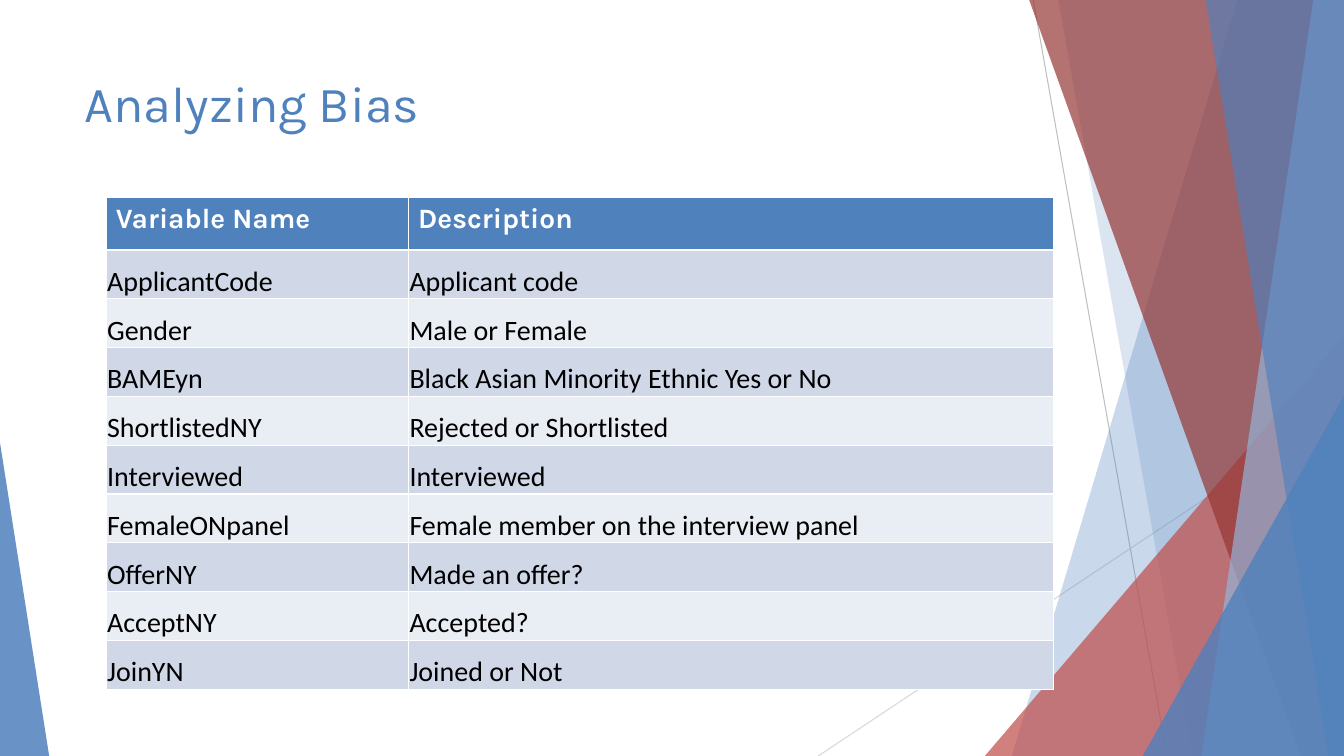
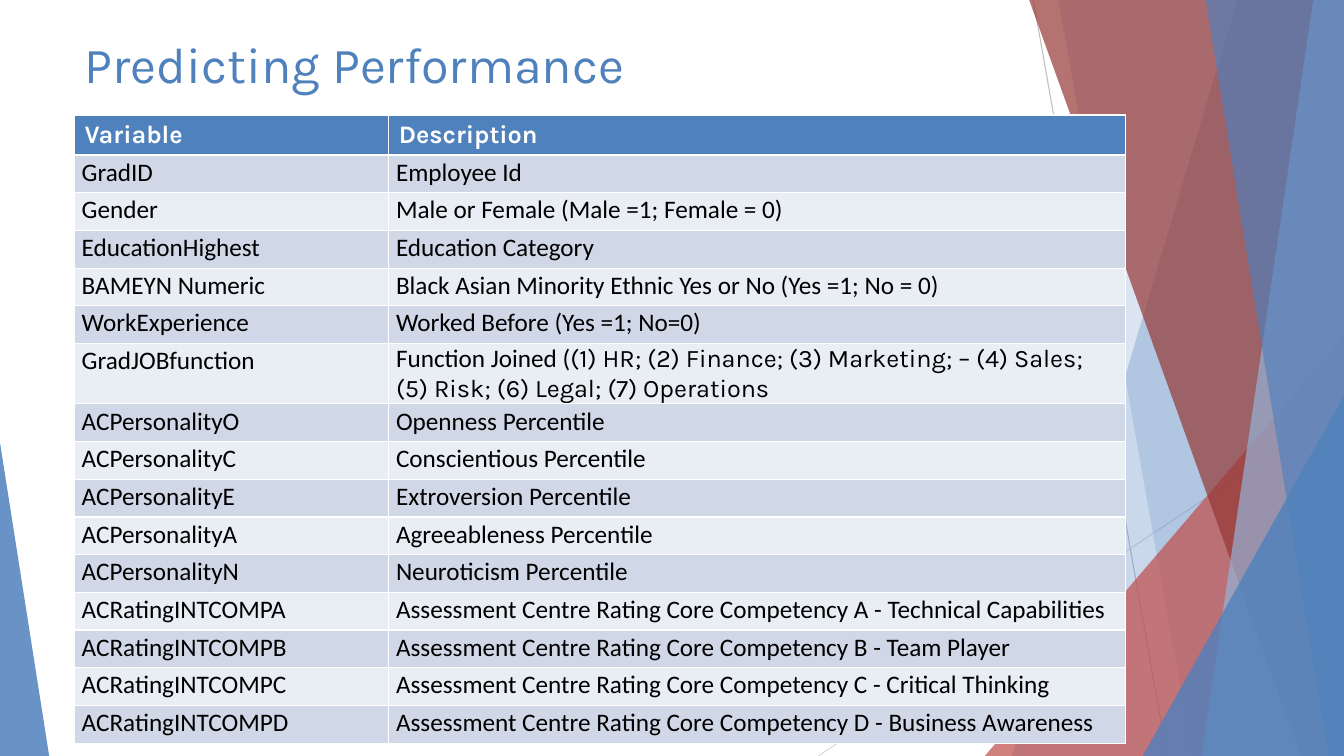
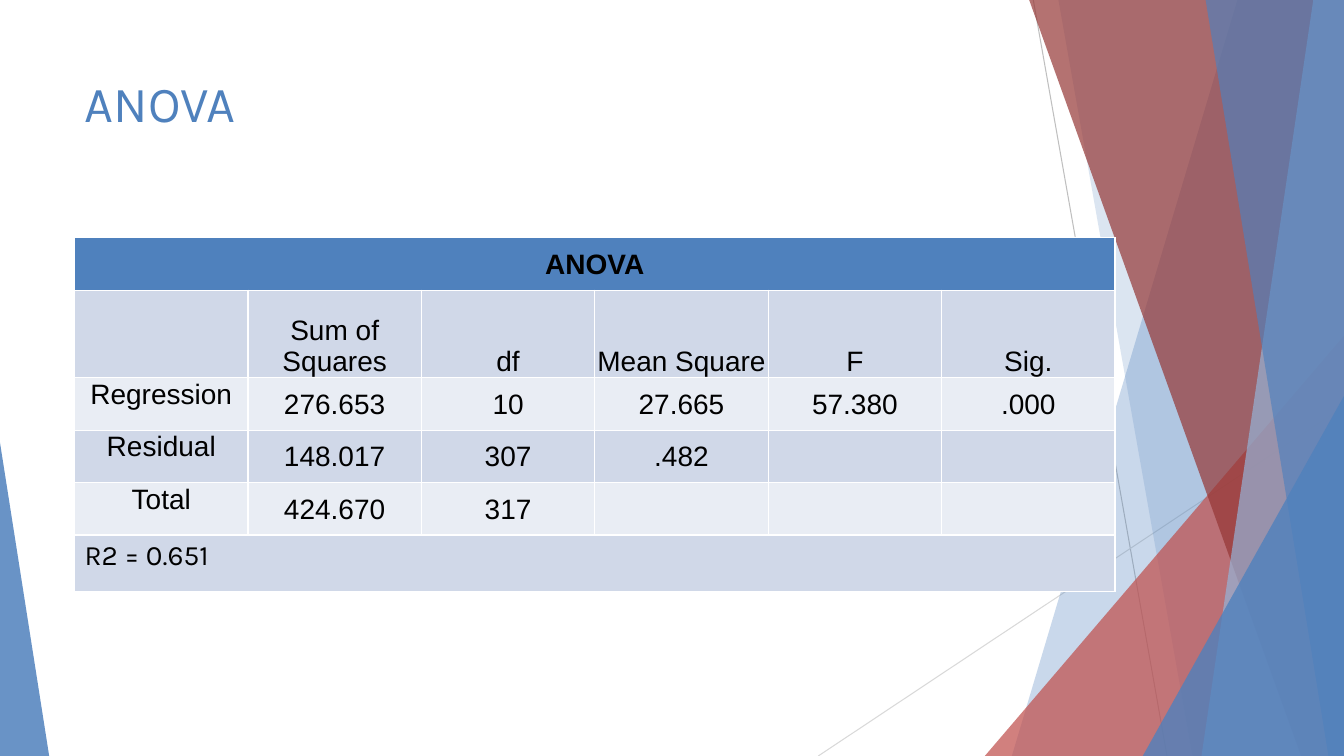
from dataclasses import dataclass, replace
from typing import Callable, NamedTuple

from lxml import etree
from pptx import Presentation
from pptx import util as u
from pptx.dml.color import RGBColor
from pptx.enum import shapes as es
from pptx.enum import text as et
from pptx.oxml import ns

BLUE = RGBColor(0x4F, 0x81, 0xBD)
SKY = RGBColor(0x95, 0xB3, 0xD7)
RED = RGBColor(0xC0, 0x50, 0x4D)
WINE = RGBColor(0x95, 0x37, 0x35)
GREY = RGBColor(0xBF, 0xBF, 0xBF)
PALE = RGBColor(0xD9, 0xD9, 0xD9)
BANDS = RGBColor(0xE9, 0xED, 0xF4), RGBColor(0xD0, 0xD8, 0xE8)
WHITE = RGBColor(0xFF, 0xFF, 0xFF)
BLACK = RGBColor(0, 0, 0)
WIDE, HIGH = 33.87, 19.05
TOP, MID, LOW = et.MSO_ANCHOR.TOP, et.MSO_ANCHOR.MIDDLE, et.MSO_ANCHOR.BOTTOM


class Ray(NamedTuple):
    x1: float
    y1: float
    x2: float
    y2: float
    color: RGBColor


class Pane(NamedTuple):
    """Runs from a slanted left side to the right edge of the slide."""
    top: float
    foot: float
    color: RGBColor
    alpha: int


class Wedge(NamedTuple):
    """A right triangle that stands on the bottom edge."""
    left: float
    top: float
    width: float
    peak: int
    color: RGBColor
    alpha: int


DECOR = [
    Ray(26.04, 0, 29.41, HIGH, GREY),
    Ray(WIDE, 10.24, 20.62, HIGH, PALE),
    Pane(31.19, 25.5, BLUE, 30),
    Pane(26.67, 30.05, BLUE, 20),
    Wedge(24.82, 8.46, 9.05, 1, RED, 72),
    Pane(25.93, 32.79, WINE, 70),
    Pane(33.1, 30.28, SKY, 70),
    Pane(30.38, 33.48, BLUE, 65),
    Wedge(28.8, 9.98, 5.07, 1, BLUE, 80),
    Wedge(0, 11.15, 1.24, 0, BLUE, 85),
]


@dataclass(frozen=True)
class Look:
    size: int
    font: str = "Calibri"
    color: RGBColor = BLACK
    bold: bool = False
    align: et.PP_ALIGN = et.PP_ALIGN.LEFT
    anchor: et.MSO_ANCHOR = TOP
    inset: tuple[float, ...] = (0.25, 0.13, 0.25, 0.13)
    space: float = 1.0


class Run(NamedTuple):
    text: str
    font: str


Cell = str | list[Run]


@dataclass
class Grid:
    left: float
    top: float
    cols: list[float]
    rows: list[float]
    cells: list[list[Cell]]  # a row with one cell spans the table
    look: Callable[[int, int], Look]


@dataclass
class Page:
    title: str
    top: float
    height: float
    grid: Grid


# Shared drawing
def tint(shape, color: RGBColor, alpha: int) -> None:
    shape.shadow.inherit = False
    shape.line.fill.background()
    shape.fill.solid()
    shape.fill.fore_color.rgb = color
    tone = shape.element.xpath(".//a:srgbClr")[0]
    etree.SubElement(tone, ns.qn("a:alpha")).set("val", str(alpha * 1000))


def draw(slide, item: Ray | Pane | Wedge):
    if isinstance(item, Ray):
        ends = [u.Cm(v) for v in item[:4]]
        shape = slide.shapes.add_connector(es.MSO_CONNECTOR.STRAIGHT, *ends)
        shape.line.color.rgb = item.color
        shape.line.width = u.Pt(0.75)
        props = shape.element.xpath("./p:spPr")[0]
        etree.SubElement(props, ns.qn("a:effectLst"))
        return shape
    if isinstance(item, Pane):
        pen = slide.shapes.build_freeform(u.Cm(item.top), u.Cm(-0.02))
        rest = [(WIDE, -0.02), (WIDE, HIGH), (item.foot, HIGH)]
        pen.add_line_segments([(u.Cm(x), u.Cm(y)) for x, y in rest])
        shape = pen.convert_to_shape()
    else:
        box = item.left, item.top, item.width, HIGH - item.top
        shape = slide.shapes.add_shape(
            es.MSO_SHAPE.ISOSCELES_TRIANGLE, *[u.Cm(v) for v in box])
        shape.adjustments[0] = item.peak
    tint(shape, item.color, item.alpha)
    return shape


def share(slide, layout) -> None:
    """Put the decoration behind the placeholders of the layout."""
    front = layout.placeholders[0].element
    for num, item in enumerate(DECOR, 100):
        part = draw(slide, item).element
        part.xpath(".//p:cNvPr")[0].set("id", str(num))
        front.addprevious(part)


def write(para, runs: list[Run], look: Look) -> None:
    para.alignment = look.align
    for text, face in runs:
        run = para.add_run()
        run.text = text
        font = run.font
        font.name, font.size, font.bold = face, u.Pt(look.size), look.bold
        font.color.rgb = look.color


def fill(cell, data: Cell, look: Look) -> None:
    cell.vertical_anchor = look.anchor
    (cell.margin_left, cell.margin_top, cell.margin_right,
     cell.margin_bottom) = [u.Cm(v) for v in look.inset]
    para = cell.text_frame.paragraphs[0]
    if isinstance(data, str):
        para.line_spacing = look.space
        data = [Run(data, look.font)]
    write(para, data, look)


def tabulate(slide, grid: Grid) -> None:
    box = grid.left, grid.top, sum(grid.cols), sum(grid.rows)
    table = slide.shapes.add_table(
        len(grid.rows), len(grid.cols), *[u.Cm(v) for v in box]).table
    for col, width in zip(table.columns, grid.cols):
        col.width = u.Cm(width)
    for r, (row, high, data) in enumerate(
            zip(table.rows, grid.rows, grid.cells)):
        row.height = u.Cm(high)
        for cell in row.cells:
            cell.fill.solid()
            cell.fill.fore_color.rgb = BANDS[r % 2] if r else BLUE
        if len(data) == 1:
            table.cell(r, 0).merge(table.cell(r, len(grid.cols) - 1))
        for c, item in enumerate(data):
            if item:
                fill(table.cell(r, c), item, grid.look(r, c))


def add_page(deck, layout, page: Page):
    slide = deck.slides.add_slide(layout)
    title = slide.shapes.title
    title.left, title.top = u.Cm(1.88), u.Cm(page.top)
    title.width, title.height = u.Cm(23.88), u.Cm(page.height)
    frame = title.text_frame
    frame.vertical_anchor = TOP
    write(frame.paragraphs[0], [Run(page.title, "Karla")], HEAD)
    tabulate(slide, page.grid)
    return slide


# Text looks
HEAD = Look(36, "Karla", BLUE)
TIGHT = (0.03, 0.03, 0.03, 0)
BIAS_TOP = Look(20, "Karla", WHITE, bold=True)
BIAS = Look(20, anchor=LOW, inset=TIGHT)
PERF_TOP = replace(BIAS_TOP, size=18)
PERF = Look(18, inset=(0.18, 0, 0.18, 0), space=1.07)
STAT = Look(20, "Arial", align=et.PP_ALIGN.CENTER, anchor=MID, inset=TIGHT)
NOTE = Look(20, "Karla")


def stat_look(row: int, col: int) -> Look:
    if row == 0:
        return replace(STAT, bold=True)
    if row == 1:
        return replace(STAT, anchor=LOW)
    if row == 5:
        return NOTE
    return replace(STAT, anchor=TOP) if col == 0 else STAT


# Slide contents
bias = [
    ["Variable Name", "Description"],
    ["ApplicantCode", "Applicant code"],
    ["Gender", "Male or Female"],
    ["BAMEyn", "Black Asian Minority Ethnic Yes or No"],
    ["ShortlistedNY", "Rejected or Shortlisted"],
    ["Interviewed", "Interviewed"],
    ["FemaleONpanel", "Female member on the interview panel"],
    ["OfferNY", "Made an offer?"],
    ["AcceptNY", "Accepted?"],
    ["JoinYN", "Joined or Not"],
]
jobs = [
    Run("Function Joined (", "Calibri"),
    Run("(1) HR; (2) Finance; (3) Marketing; – (4) Sales; (5) Risk; "
        "(6) Legal; (7) Operations", "Karla"),
]
traits = ["Openness", "Conscientious", "Extroversion", "Agreeableness",
          "Neuroticism"]
skills = ["Technical Capabilities", "Team Player", "Critical Thinking",
          "Business Awareness"]
perf = [
    ["Variable", "Description"],
    ["GradID", "Employee Id"],
    ["Gender", "Male or Female (Male =1; Female = 0)"],
    ["EducationHighest", "Education Category"],
    ["BAMEYN Numeric",
     "Black Asian Minority Ethnic Yes or No (Yes =1; No = 0)"],
    ["WorkExperience", "Worked Before (Yes =1; No=0)"],
    ["GradJOBfunction", jobs],
    *[[f"ACPersonality{t[0]}", f"{t} Percentile"] for t in traits],
    *[[f"ACRatingINTCOMP{k}",
       f"Assessment Centre Rating Core Competency {k} - {s}"]
      for k, s in zip("ABCD", skills)],
]
anova = [
    ["ANOVA"],
    ["", "Sum of Squares", "df", "Mean Square", "F", "Sig."],
    ["Regression", "276.653", "10", "27.665", "57.380", ".000"],
    ["Residual", "148.017", "307", ".482", "", ""],
    ["Total", "424.670", "317", "", "", ""],
    ["R2 = 0.651"],
]
PAGES = [
    Page("Analyzing Bias", 1.7, 2.46, Grid(
        2.67, 4.98, [7.62, 16.26], [1.32] + [1.23] * 9, bias,
        lambda r, c: BIAS if r else BIAS_TOP)),
    Page("Predicting Performance", 0.71, 2.34, Grid(
        1.88, 2.9, [7.92, 18.57], [0.95] * 16, perf,
        lambda r, c: PERF if r else PERF_TOP)),
    Page("ANOVA", 1.7, 3.66, Grid(
        1.88, 5.99, [4.37] * 6, [1.32, 2.21, 1.32, 1.32, 1.32, 1.42],
        anova, stat_look)),
]

# Build
deck = Presentation()
deck.slide_width, deck.slide_height = u.Cm(WIDE), u.Cm(HIGH)
layout = deck.slide_layouts[5]
slides = [add_page(deck, layout, page) for page in PAGES]
share(slides[0], layout)
deck.save("out.pptx")
